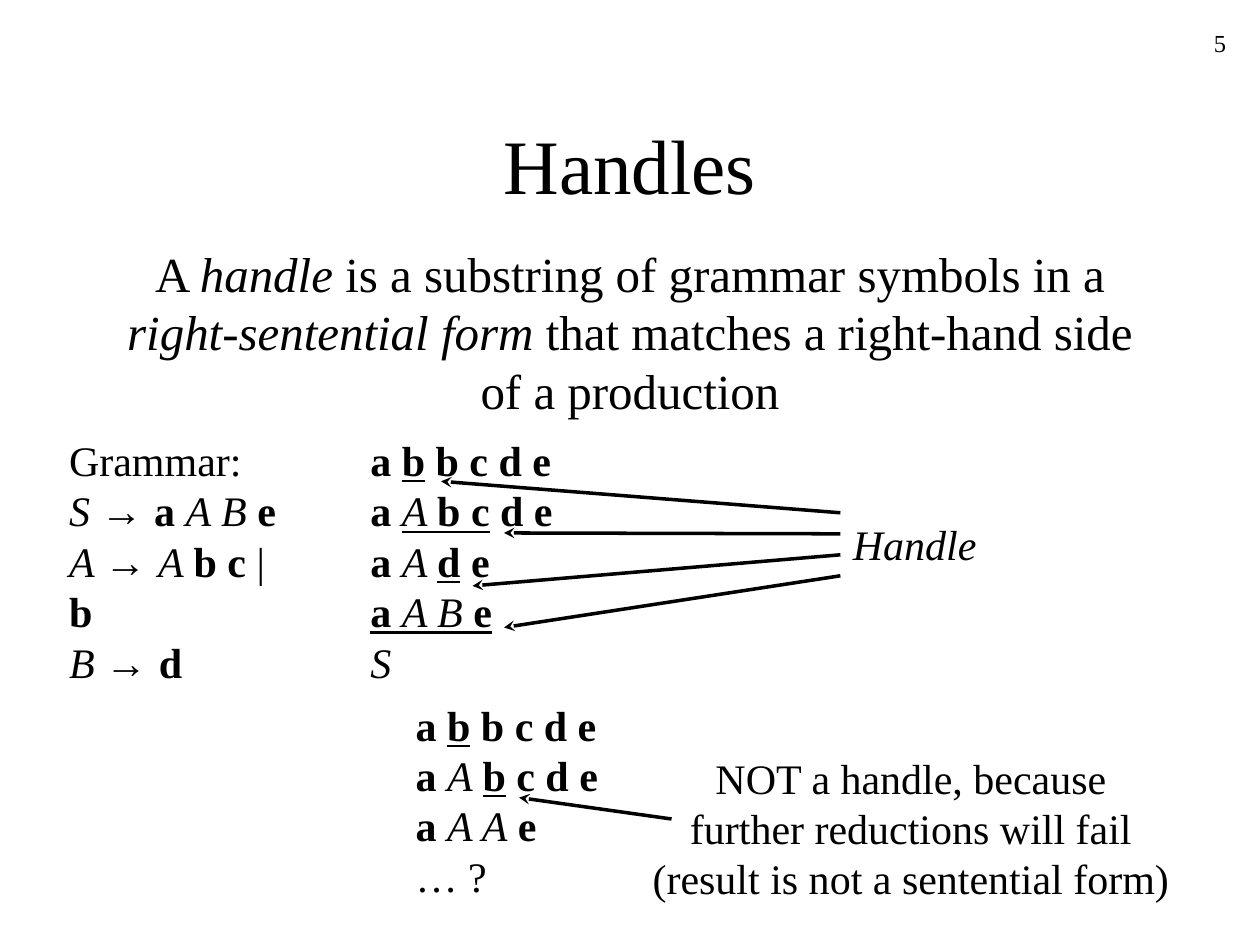
from lxml import etree
from pptx import Presentation
from pptx.dml.color import RGBColor
from pptx.enum.shapes import MSO_CONNECTOR
from pptx.enum.text import MSO_ANCHOR, MSO_AUTO_SIZE, PP_ALIGN
from pptx.oxml.ns import qn
from pptx.util import Inches, Pt

BLACK = RGBColor(0, 0, 0)
WHITE = RGBColor(255, 255, 255)
SERIF = "Times New Roman"
SANS = "Arial"
MARKS = {"*": "bold", "/": "italic", "_": "underline"}


def add_run(p, text, size, styles):
    if not text:
        return
    r = p.add_run()
    r.text = text
    r.font.name = SANS if text.startswith("→") else SERIF
    r.font.size = Pt(size)
    r.font.color.rgb = BLACK
    for style in styles:
        setattr(r.font, style, True)


def fill_paragraph(p, markup, size):
    styles, text = set(), ""
    for ch in markup:
        if ch in MARKS or ch == "\n":
            add_run(p, text, size, styles)
            text = ""
            if ch == "\n":
                p.add_line_break()
            else:
                styles ^= {MARKS[ch]}
        else:
            if ch == "→":
                add_run(p, text, size, styles)
                text = ""
            text += ch
    add_run(p, text, size, styles)


def add_text(s, box, *paragraphs, size=24, align=PP_ALIGN.LEFT,
             anchor=MSO_ANCHOR.TOP, wrap=False):
    sp = s.shapes.add_textbox(*map(Inches, box))
    tf = sp.text_frame
    tf.word_wrap = wrap
    tf.auto_size = MSO_AUTO_SIZE.NONE if wrap else MSO_AUTO_SIZE.SHAPE_TO_FIT_TEXT
    tf.vertical_anchor = anchor
    for i, markup in enumerate(paragraphs):
        p = tf.paragraphs[0] if i == 0 else tf.add_paragraph()
        p.alignment = align
        fill_paragraph(p, markup, size)


def add_arrow(s, x1, y1, x2, y2):
    c = s.shapes.add_connector(MSO_CONNECTOR.STRAIGHT, *map(Inches, (x1, y1, x2, y2)))
    c.line.color.rgb = BLACK
    c.line.width = Pt(2)
    etree.SubElement(c.line._get_or_add_ln(), qn("a:tailEnd"), type="stealth")
    etree.SubElement(c._element.spPr, qn("a:effectLst"))


def add_heading(s, left, top, width):
    add_text(s, (left + 7, top, width - 7.92, 0.5), "5", size=14,
             align=PP_ALIGN.RIGHT, wrap=True)
    add_text(s, (left, top + 0.5, width - 1.5, 1.25), "Handles", size=44,
             align=PP_ALIGN.CENTER, anchor=MSO_ANCHOR.MIDDLE, wrap=True)
    add_text(s, (left + 0.16, top + 1.71, width - 1.82, 1.5),
             "A /handle/ is a substring of grammar symbols in a\n"
             "/right-sentential form/ that matches a right-hand side\n"
             "of a production", size=28, align=PP_ALIGN.CENTER)


def add_grammar(s, left, top, width, height):
    add_text(s, (left, top, width, height),
             "Grammar:\n/S /→ *a */A B /*e*\n/A /→ /A /*b c *| *b*\n/B /→ *d*",
             wrap=True)


def add_derivation(s, left, top, width, height):
    add_text(s, (left, top, width, height),
             "*a _b_ b c d e\na */_A /*b c_ d e\na */A /*_d_ e*\n"
             "*_a */A B* */*e*_\n/S/")
    label_x, label_y = left + 3.83, top + 0.67
    tips = [(0.66, 0.42), (1.16, 0.83), (0.91, 1.25), (1.16, 1.58)]
    for i, (dx, dy) in enumerate(tips):
        add_arrow(s, label_x, label_y + i / 6, left + dx, top + dy)
    add_text(s, (label_x, label_y, 1.18, 0.5), "/Handle/")


def add_failed_derivation(s, left, top, width, height):
    add_text(s, (left, top, width, height),
             "*a _b_ b c d e\na */A /*_b_ c d e\na */A A/* e*\n… ?")
    add_arrow(s, left + 2.13, top + 1, left + 0.92, top + 0.83)
    add_text(s, (left + 1.88, top + 0.42, 4.3, 1.3),
             "NOT a handle, because\nfurther reductions will fail",
             "(result is not a sentential form)", align=PP_ALIGN.CENTER)


def main():
    prs = Presentation()
    prs.slide_width, prs.slide_height = Inches(10), Inches(7.5)
    s = prs.slides.add_slide(prs.slide_layouts[6])
    s.background.fill.solid()
    s.background.fill.fore_color.rgb = WHITE
    add_heading(s, 0.75, 0.17, 10)
    add_grammar(s, 0.45, 3.4, 1.96, 2.1)
    add_derivation(s, 2.84, 3.4, 1.65, 2.1)
    add_failed_derivation(s, 3.2, 5.5, 1.65, 1.7)
    prs.save("out.pptx")


if __name__ == "__main__":
    main()
